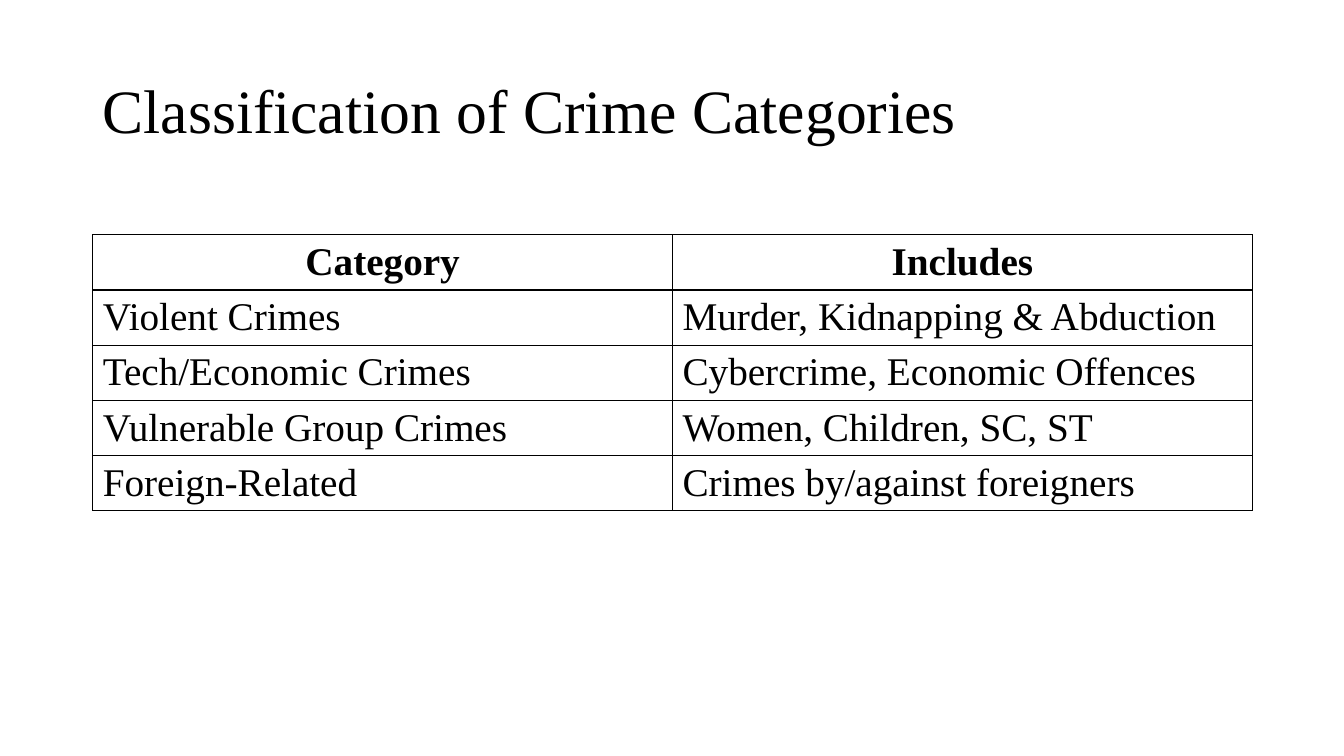
import pptx
import pptx.util
import pptx.dml.color
import pptx.enum.text
import pptx.oxml
import pptx.oxml.ns
from lxml import etree

Inches, Pt = pptx.util.Inches, pptx.util.Pt
ALIGN = pptx.enum.text.PP_ALIGN
MIDDLE = pptx.enum.text.MSO_ANCHOR.MIDDLE
FONT, INK, PAPER = "Times New Roman", "000000", "FFFFFF"
W, H = 13.33, 7.5
MARGIN = 0.92
CONTENT_W = 11.5
ROW_H = 0.53

ROWS = [
    ("Category", "Includes"),
    ("Violent Crimes", "Murder, Kidnapping & Abduction"),
    ("Tech/Economic Crimes", "Cybercrime, Economic Offences"),
    ("Vulnerable Group Crimes", "Women, Children, SC, ST"),
    ("Foreign-Related", "Crimes by/against foreigners"),
]


def rgb(color):
    return pptx.dml.color.RGBColor.from_string(color)


def add_run(p, text, size, bold=False):
    r = p.add_run()
    r.text = text
    r.font.name = FONT
    r.font.size = Pt(size)
    r.font.bold = bold
    r.font.color.rgb = rgb(INK)


def add_borders(cell, width=1):
    tcPr = cell._tc.get_or_add_tcPr()
    qn = pptx.oxml.ns.qn
    for i, side in enumerate(("lnL", "lnR", "lnT", "lnB")):
        ln = etree.Element(qn("a:" + side), w=str(Pt(width)))
        fill = etree.SubElement(ln, qn("a:solidFill"))
        etree.SubElement(fill, qn("a:srgbClr"), val=INK)
        tcPr.insert(i, ln)


def add_title(slide, box, text):
    tf = slide.shapes.add_textbox(*map(Inches, box)).text_frame
    tf.word_wrap = True
    tf.vertical_anchor = MIDDLE
    p = tf.paragraphs[0]
    p.line_spacing = 0.9
    add_run(p, text, 44)


def add_category_table(slide, box, rows):
    tbl = slide.shapes.add_table(len(rows), len(rows[0]), *map(Inches, box)).table
    for i, row in enumerate(rows):
        for j, text in enumerate(row):
            cell = tbl.cell(i, j)
            cell.fill.solid()
            cell.fill.fore_color.rgb = rgb(PAPER)
            cell.vertical_anchor = MIDDLE
            cell.margin_top = cell.margin_bottom = Inches(0.04)
            p = cell.text_frame.paragraphs[0]
            p.alignment = ALIGN.CENTER if i == 0 else ALIGN.JUSTIFY
            add_run(p, text, 28, bold=i == 0)
            add_borders(cell)


def main():
    prs = pptx.Presentation()
    prs.slide_width, prs.slide_height = Inches(W), Inches(H)
    slide = prs.slides.add_slide(prs.slide_layouts[6])
    add_title(slide, (MARGIN, 0.4, CONTENT_W, 1.45), "Classification of Crime Categories")
    add_category_table(slide, (MARGIN, 2.33, CONTENT_W, ROW_H * len(ROWS)), ROWS)
    prs.save("out.pptx")


if __name__ == "__main__":
    main()
